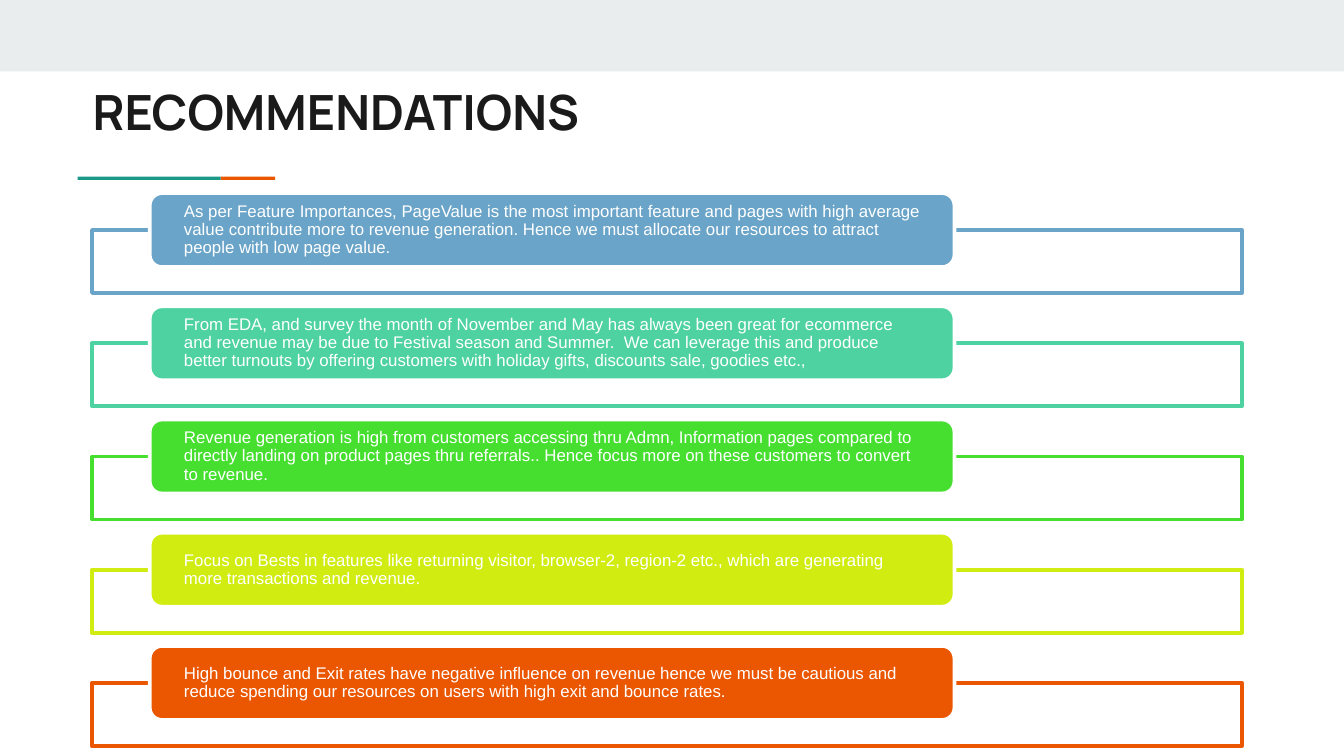
from pptx import Presentation
from pptx.dml.color import RGBColor
from pptx.enum.shapes import MSO_SHAPE as Shape
from pptx.enum.text import MSO_ANCHOR as Anchor, PP_ALIGN as Align
from pptx.util import Cm, Pt

WHITE = RGBColor(0xFF, 0xFF, 0xFF)
INK = RGBColor(0x1A, 0x1A, 0x1A)
BAND_GREY = RGBColor(0xE9, 0xED, 0xEE)
TEAL = RGBColor(0x1A, 0x99, 0x88)
ORANGE = RGBColor(0xEB, 0x56, 0x00)
BLUE = RGBColor(0x6A, 0xA4, 0xC8)
MINT = RGBColor(0x4E, 0xD2, 0xA1)
GREEN = RGBColor(0x46, 0xDF, 0x30)
LIME = RGBColor(0xD1, 0xEC, 0x11)

HEADING = "RECOMMENDATIONS"
RECOMMENDATIONS = [
    (BLUE, "As per Feature Importances, PageValue is the most important feature and pages "
           "with high average value contribute more to revenue generation. Hence we must "
           "allocate our resources to attract people with low page value."),
    (MINT, "From EDA, and survey the month of November and May has always been great for "
           "ecommerce and revenue may be due to Festival season and Summer.  We can leverage "
           "this and produce better turnouts by offering customers with holiday gifts, "
           "discounts sale, goodies etc.,"),
    (GREEN, "Revenue generation is high from customers accessing thru Admn, Information pages "
            "compared to directly landing on product pages thru referrals.. Hence focus more "
            "on these customers to convert to revenue."),
    (LIME, "Focus on Bests in features like returning visitor, browser-2, region-2 etc., "
           "which are generating more transactions and revenue."),
    (ORANGE, "High bounce and Exit rates have negative influence on revenue hence we must be "
             "cautious and reduce spending our resources on users with high exit and bounce "
             "rates."),
]

SLIDE_WIDTH, SLIDE_HEIGHT = 25.4, 14.29
FIRST_LABEL_TOP, ROW_STEP = 3.65, 2.14
FRAME_DROP = 0.7


def add_box(slide, kind, left, top, width, height, fill, line=None):
    box = slide.shapes.add_shape(kind, Cm(left), Cm(top), Cm(width), Cm(height))
    box.shadow.inherit = False
    box.fill.solid()
    box.fill.fore_color.rgb = fill
    if line is None:
        box.line.fill.background()
    else:
        box.line.color.rgb = line
        box.line.width = Pt(2)
    return box


def write(box, text, font_name, size, color, bold=False):
    frame = box.text_frame
    frame.word_wrap = True
    paragraph = frame.paragraphs[0]
    paragraph.text = text
    paragraph.alignment = Align.LEFT
    font = paragraph.font
    font.name, font.size, font.bold = font_name, Pt(size), bold
    font.color.rgb = color
    return frame


def add_recommendation(slide, top, color, text):
    add_box(slide, Shape.RECTANGLE, 1.74, top + FRAME_DROP, 21.73, 1.19, WHITE, color)
    label = add_box(slide, Shape.ROUNDED_RECTANGLE, 2.83, top, 15.21, 1.4, color, WHITE)
    frame = write(label, text, "Arial", 9, WHITE)
    frame.vertical_anchor = Anchor.MIDDLE
    frame.margin_left = frame.margin_right = Cm(0.58)
    frame.margin_top = frame.margin_bottom = 0
    frame.paragraphs[0].line_spacing = 0.9


def main():
    deck = Presentation()
    deck.slide_width, deck.slide_height = Cm(SLIDE_WIDTH), Cm(SLIDE_HEIGHT)
    slide = deck.slides.add_slide(deck.slide_layouts[6])

    add_box(slide, Shape.RECTANGLE, 0, 0, SLIDE_WIDTH, 1.35, BAND_GREY)
    for left, width, color in [(4.17, 1.03, ORANGE), (1.47, 2.7, TEAL)]:
        add_box(slide, Shape.RECTANGLE, left, 3.34, width, 0.06, color)

    heading = slide.shapes.add_textbox(Cm(1.5), Cm(1.3), Cm(21.36), Cm(1.5))
    frame = write(heading, HEADING, "Manrope", 26, INK, bold=True)
    frame.margin_left = frame.margin_right = Cm(0.25)
    frame.margin_top = frame.margin_bottom = Cm(0.25)

    for row, (color, text) in enumerate(RECOMMENDATIONS):
        add_recommendation(slide, FIRST_LABEL_TOP + row * ROW_STEP, color, text)

    deck.save("out.pptx")


if __name__ == "__main__":
    main()
